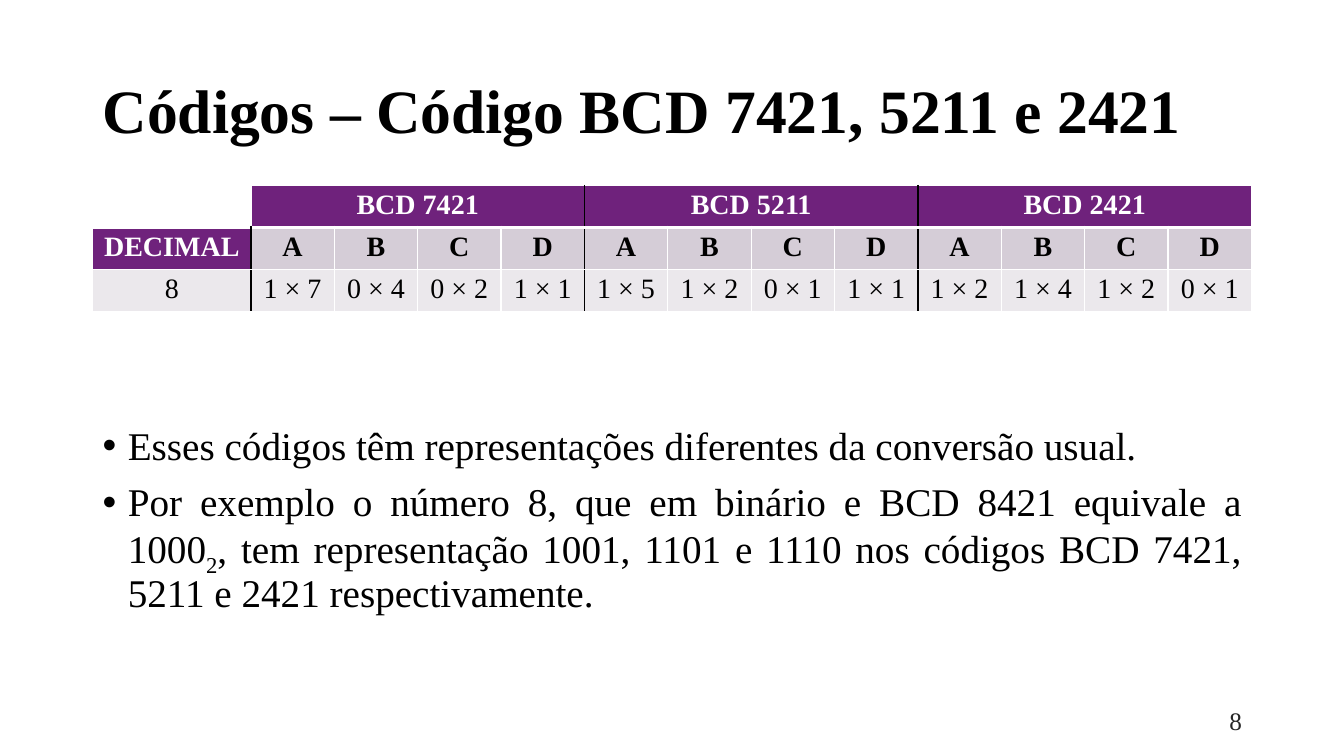
"""Builds the slide on the BCD 7421, 5211 and 2421 codes."""
from dataclasses import dataclass

from lxml import etree
from pptx import Presentation
from pptx.dml.color import RGBColor
from pptx.enum import text
from pptx.oxml import ns
from pptx.util import Pt

FONT = "Times New Roman"
BLACK, WHITE, PURPLE = "000000", "FFFFFF", "6F227C"
LILAC, PALE = "D5CDD7", "EBE8EC"
LEFT, WIDTH = 66.24, 828
DECIMAL_WIDTH, ROW_HEIGHT = 113, 29.3
BITS = "ABCD"


@dataclass(frozen=True)
class Code:
    weights: str
    digits: str


@dataclass(frozen=True)
class Box:
    left: float
    top: float
    width: float
    height: float
    anchor: text.MSO_ANCHOR


CODES = (Code("7421", "1001"), Code("5211", "1101"), Code("2421", "1110"))
TITLE = Box(LEFT, 28.75, WIDTH, 104.4, text.MSO_ANCHOR.MIDDLE)
BODY = Box(LEFT, 301, WIDTH, 185, text.MSO_ANCHOR.TOP)
PAGE = Box(678.24, 500.5, 216, 28.75, text.MSO_ANCHOR.MIDDLE)
REMARKS = (
    ("Esses códigos têm representações diferentes da conversão usual.",),
    ("Por exemplo o número 8, que em binário e BCD 8421 equivale a 1000", "2",
     ", tem representação 1001, 1101 e 1110 nos códigos BCD 7421, 5211 e 2421 respectivamente."),
)


def rgb(value: str) -> RGBColor:
    return RGBColor.from_string(value)


def write(paragraph, wording: str, *, size: float, color: str = BLACK, bold: bool = False,
          align=text.PP_ALIGN.LEFT, baseline: int = 0) -> None:
    paragraph.alignment = align
    run = paragraph.add_run()
    run.text = wording
    run.font.name, run.font.size, run.font.bold = FONT, Pt(size), bold
    run.font.color.rgb = rgb(color)
    if baseline:
        run._r.get_or_add_rPr().set("baseline", str(baseline))


def add_box(slide, box: Box):
    frame = slide.shapes.add_textbox(Pt(box.left), Pt(box.top), Pt(box.width), Pt(box.height)).text_frame
    frame.word_wrap = True
    frame.vertical_anchor = box.anchor
    return frame


def add_bullet(paragraph) -> None:
    properties = paragraph._p.get_or_add_pPr()
    properties.set("marL", str(Pt(18)))
    properties.set("indent", str(Pt(-18)))
    etree.SubElement(properties, ns.qn("a:buFont"), typeface="Arial")
    etree.SubElement(properties, ns.qn("a:buChar"), char="•")


def set_borders(cell, row: int, column: int) -> None:
    first_divider = 5 if row == 0 else 1
    dividers = range(first_divider, 10, 4)
    edges = (
        ("a:lnL", BLACK if column in dividers else WHITE, 1),
        ("a:lnR", BLACK if column + 1 in dividers else WHITE, 1),
        ("a:lnT", WHITE, 3 if row == 1 else 1),
        ("a:lnB", WHITE, 3 if row == 0 else 1),
    )
    properties = cell._tc.get_or_add_tcPr()
    for position, (tag, color, width) in enumerate(edges):
        line = etree.Element(ns.qn(tag), w=str(Pt(width)))
        fill = etree.SubElement(line, ns.qn("a:solidFill"))
        etree.SubElement(fill, ns.qn("a:srgbClr"), val=color)
        properties.insert(position, line)


def fill_cell(cell, wording: str, fill: str, *, color: str = BLACK, bold: bool = True) -> None:
    cell.fill.solid()
    cell.fill.fore_color.rgb = rgb(fill)
    write(cell.text_frame.paragraphs[0], wording, size=20, color=color, bold=bold,
          align=text.PP_ALIGN.CENTER)


def add_code_table(slide) -> None:
    columns = 1 + len(CODES) * len(BITS)
    table = slide.shapes.add_table(3, columns, Pt(LEFT), Pt(132.5), Pt(WIDTH), Pt(3 * ROW_HEIGHT)).table
    table.first_row = table.horz_banding = False
    for index, column in enumerate(table.columns):
        column.width = Pt((WIDTH - DECIMAL_WIDTH) / (columns - 1) if index else DECIMAL_WIDTH)
    for row_index, row in enumerate(table.rows):
        row.height = Pt(ROW_HEIGHT)
        for column_index, cell in enumerate(row.cells):
            cell.margin_top = cell.margin_bottom = Pt(3)
            set_borders(cell, row_index, column_index)

    table.cell(0, 0).fill.background()
    fill_cell(table.cell(1, 0), "DECIMAL", PURPLE, color=WHITE)
    fill_cell(table.cell(2, 0), "8", PALE, bold=False)
    for group, code in enumerate(CODES):
        start = 1 + group * len(BITS)
        heading = table.cell(0, start)
        heading.merge(table.cell(0, start + len(BITS) - 1))
        fill_cell(heading, f"BCD {code.weights}", PURPLE, color=WHITE)
        for column, (bit, digit, weight) in enumerate(zip(BITS, code.digits, code.weights), start):
            fill_cell(table.cell(1, column), bit, LILAC)
            fill_cell(table.cell(2, column), f"{digit} × {weight}", PALE, bold=False)


def add_remarks(slide) -> None:
    frame = add_box(slide, BODY)
    for index, pieces in enumerate(REMARKS):
        remark = frame.add_paragraph() if index else frame.paragraphs[0]
        remark.line_spacing, remark.space_before = 0.9, Pt(10)
        add_bullet(remark)
        for piece in pieces:
            write(remark, piece, size=28, align=text.PP_ALIGN.JUSTIFY,
                  baseline=-25000 if piece == "2" else 0)


def main() -> None:
    deck = Presentation()
    deck.slide_width, deck.slide_height = Pt(960), Pt(540)
    slide = deck.slides.add_slide(deck.slide_layouts[6])
    title = add_box(slide, TITLE).paragraphs[0]
    title.line_spacing = 0.9
    write(title, "Códigos – Código BCD 7421, 5211 e 2421", size=44, bold=True)
    add_remarks(slide)
    add_code_table(slide)
    write(add_box(slide, PAGE).paragraphs[0], "8", size=18, color="262626", align=text.PP_ALIGN.RIGHT)
    deck.save("out.pptx")


if __name__ == "__main__":
    main()
